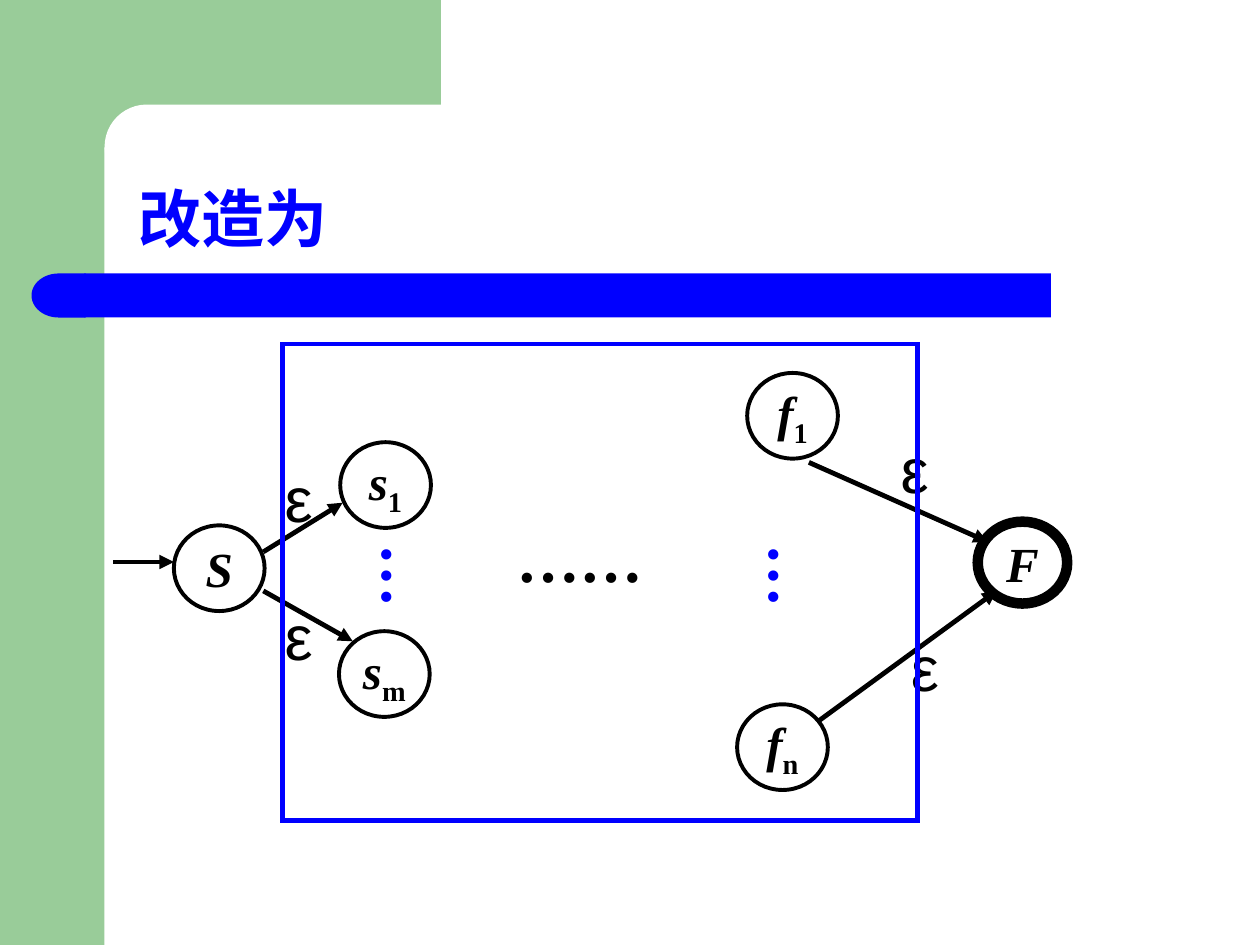
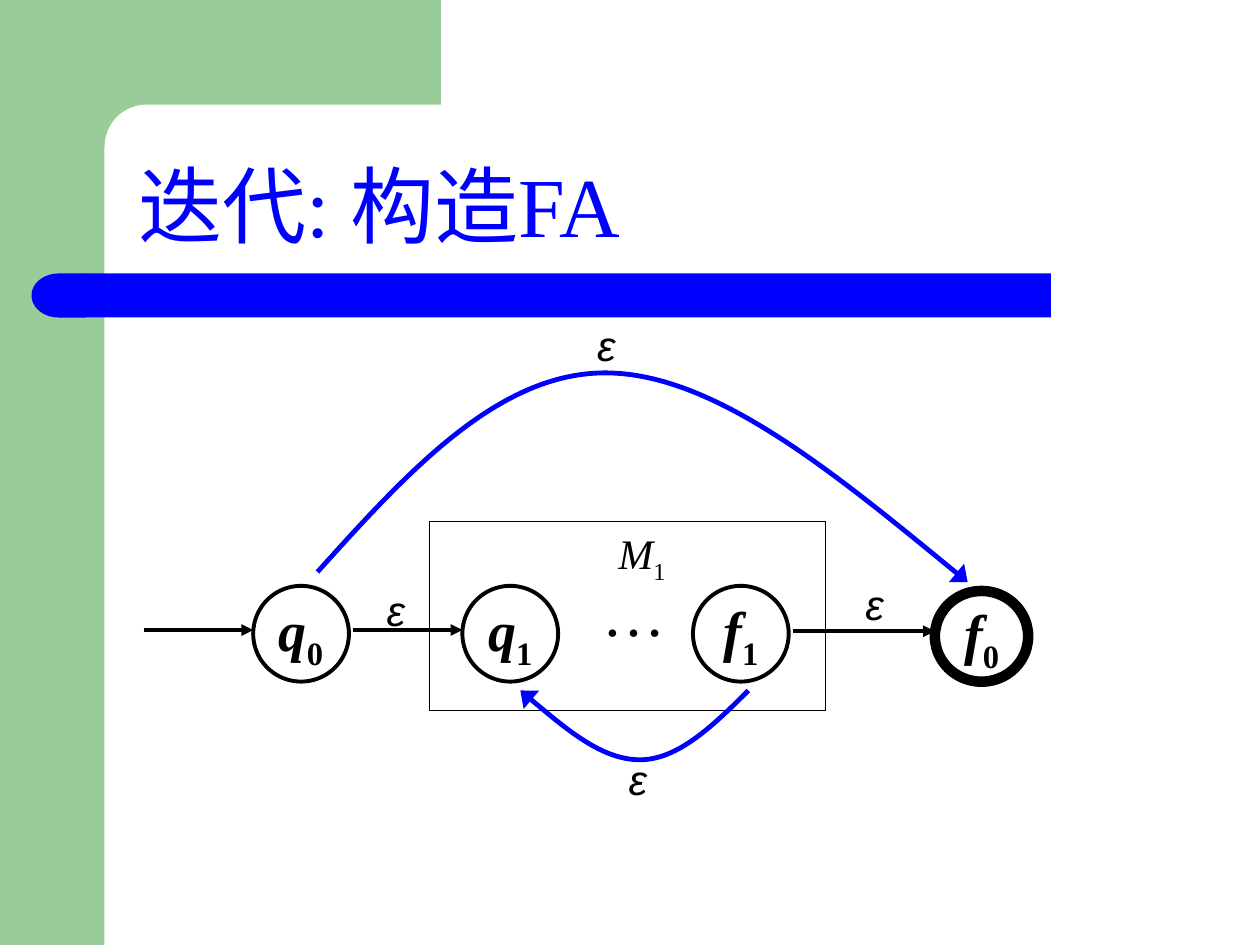
from collections import namedtuple

from lxml import etree
from pptx import Presentation
from pptx.dml.color import RGBColor
from pptx.enum.shapes import MSO_CONNECTOR, MSO_SHAPE
from pptx.enum.text import MSO_ANCHOR, MSO_AUTO_SIZE, PP_ALIGN
from pptx.oxml.ns import qn
from pptx.util import Inches, Pt

GREEN = RGBColor(0x99, 0xCC, 0x99)
BLUE = RGBColor(0x00, 0x00, 0xFF)
BLACK = RGBColor(0x00, 0x00, 0x00)
WHITE = RGBColor(0xFF, 0xFF, 0xFF)

SERIF = "Times New Roman"
SANS = "Arial"

RECT = MSO_SHAPE.RECTANGLE
ROUND_RECT = MSO_SHAPE.ROUNDED_RECTANGLE
DELAY = MSO_SHAPE.FLOWCHART_DELAY
OVAL = MSO_SHAPE.OVAL
STRAIGHT = MSO_CONNECTOR.STRAIGHT
TOP, MIDDLE, BOTTOM = MSO_ANCHOR.TOP, MSO_ANCHOR.MIDDLE, MSO_ANCHOR.BOTTOM
LEFT, CENTER = PP_ALIGN.LEFT, PP_ALIGN.CENTER
GROW = MSO_AUTO_SIZE.SHAPE_TO_FIT_TEXT

Box = namedtuple("Box", "left top width height")


def inside(box, x, y, width, height):
    """Box whose corner is given relative to another box."""
    return Box(box.left + x, box.top + y, width, height)


def emu(lengths):
    return [Inches(length) for length in lengths]


def write(shape, text, sub="", size=28, color=BLACK, font=SERIF, bold=False,
          italic=False, align=CENTER, anchor=MIDDLE, wrap=False, before=0,
          spacing=None, hanging=False, vertical=False, grow=False):
    """Write text, with an optional upright subscript, into a shape."""
    frame = shape.text_frame
    frame.word_wrap = wrap
    frame.vertical_anchor = anchor
    if grow:
        frame.auto_size = GROW
    if vertical:
        frame._txBody.bodyPr.set("vert", "eaVert")
        frame.margin_left = frame.margin_right = Inches(0.05)
        frame.margin_top = frame.margin_bottom = Inches(0.1)
    paragraph = frame.paragraphs[0]
    paragraph.alignment = align
    paragraph.space_before = Pt(before)
    if spacing:
        paragraph.line_spacing = spacing
    if hanging:
        properties = paragraph._p.get_or_add_pPr()
        properties.set("marL", str(Inches(0.38)))
        properties.set("indent", str(-Inches(0.38)))
    for part in filter(None, (text, sub)):
        run = paragraph.add_run()
        run.text = part
        run.font.size = Pt(size)
        run.font.name = font
        run.font.bold = bold
        run.font.italic = italic
        run.font.color.rgb = color
    if sub:
        run.font.italic = False
        run.font._element.set("baseline", "-25000")


def add_label(slide, box, text, **style):
    write(slide.shapes.add_textbox(*emu(box)), text, **style)


def add_solid(slide, kind, box, color):
    shape = slide.shapes.add_shape(kind, *emu(box))
    shape.shadow.inherit = False
    shape.fill.solid()
    shape.fill.fore_color.rgb = color
    shape.line.fill.background()
    return shape


def add_outline(slide, kind, box, color, weight):
    shape = slide.shapes.add_shape(kind, *emu(box))
    shape.shadow.inherit = False
    shape.fill.background()
    set_line(shape, color, weight)
    return shape


def set_line(shape, color, weight, head=None):
    """Line with sharp corners and, if a head width is given, an arrowhead."""
    shape.line.color.rgb = color
    shape.line.width = Pt(weight)
    line = shape.line._get_or_add_ln()
    etree.SubElement(line, qn("a:miter"), lim="800000")
    if head:
        etree.SubElement(line, qn("a:tailEnd"), type="triangle", w=head, len="med")


def add_state(slide, box, name, sub="", size=28, weight=2.25):
    state = add_outline(slide, OVAL, box, BLACK, weight)
    write(state, name, sub, size=size, bold=True, italic=True)


def add_arrow(slide, box, start, end, weight):
    points = [box.left + start[0], box.top + start[1],
              box.left + end[0], box.top + end[1]]
    arrow = slide.shapes.add_connector(STRAIGHT, *emu(points))
    set_line(arrow, BLACK, weight, head="med")
    etree.SubElement(arrow._element.spPr, qn("a:effectLst"))


def add_curve(slide, box, points):
    """Bezier arrow: a start point, then three points for each segment."""
    start, *rest = [emu((box.left + x, box.top + y)) for x, y in points]
    builder = slide.shapes.build_freeform(*start)
    builder.add_line_segments(rest, close=False)
    curve = builder.convert_to_shape()
    curve.shadow.inherit = False
    curve.fill.background()
    set_line(curve, BLUE, 2.75, head="lg")
    steps = curve._element.xpath(".//a:lnTo")
    for first in range(0, len(steps), 3):
        bezier = etree.Element(qn("a:cubicBezTo"))
        steps[first].addprevious(bezier)
        for step in steps[first:first + 3]:
            bezier.append(step[0])
            step.getparent().remove(step)


def add_backdrop(slide, page):
    add_solid(slide, RECT, inside(page, 0, 0, 0.83, page.height), GREEN)
    add_solid(slide, RECT, inside(page, 0.75, 0, 2.75, 1.17), GREEN)
    corner = add_solid(slide, ROUND_RECT, inside(page, 0.83, 0.83, 5.58, 0.67), WHITE)
    corner.adjustments[0] = 0.5
    add_solid(slide, RECT, inside(page, 0.67, 2.17, 7.67, 0.35), BLUE)
    band_end = add_solid(slide, DELAY, inside(page, 0.25, 2.17, 0.43, 0.35), BLUE)
    band_end.rotation = 180


def add_titled_slide(prs, page, title, **style):
    slide = prs.slides.add_slide(prs.slide_layouts[6])
    add_backdrop(slide, page)
    add_label(slide, inside(page, 1, 0.83, 8.75, 1.25), title, color=BLUE,
              align=LEFT, anchor=BOTTOM, wrap=True, spacing=0.9, **style)
    return slide


def draw_merged_automaton(slide, machine):
    """Single start S and single final F around a machine with many of both."""
    states = [(0.46, 0.78, "s", "1"), (0.45, 2.28, "s", "m"),
              (-0.86, 1.44, "S", ""),
              (3.69, 0.23, "f", "1"), (3.61, 2.86, "f", "n")]
    for x, y, name, sub in states:
        add_state(slide, inside(machine, x, y, 0.72, 0.68), name, sub)
    add_state(slide, inside(machine, 5.52, 1.41, 0.71, 0.65), "F", weight=6)

    arrows = [((-1.34, 1.73), (-0.86, 1.73)),
              ((-0.15, 1.65), (0.48, 1.26)), ((-0.15, 1.96), (0.56, 2.36)),
              ((4.18, 0.94), (5.6, 1.57)), ((4.26, 2.99), (5.67, 1.96))]
    for start, end in arrows:
        add_arrow(slide, machine, start, end, 2.75)

    spaced = dict(size=36, before=9, hanging=True)
    add_label(slide, inside(machine, 1.26, 1.1, 2.2, 1.18), "……", bold=True, **spaced)
    for x in (0.56, 3.63):
        add_label(slide, inside(machine, x, 1.49, 0.87, 0.79), "…", size=36,
                  color=BLUE, bold=True, before=9, vertical=True, wrap=True)
    for x, y in [(-0.08, 0.86), (4.81, 0.63), (4.89, 2.2), (-0.08, 1.96)]:
        add_label(slide, inside(machine, x, y, 0.39, 0.71), "ε", font=SANS, **spaced)
    add_outline(slide, RECT, machine, BLUE, 2.75)


def draw_iteration_automaton(slide, machine):
    """New states q0 and f0 around machine M1, with a loop and a bypass."""
    add_outline(slide, RECT, machine, BLACK, 0.75)
    for x, name, sub in [(-1.4, "q", "0"), (0.26, "q", "1"), (2.09, "f", "1")]:
        add_state(slide, inside(machine, x, 0.51, 0.76, 0.76), name, sub, size=32)
    add_state(slide, inside(machine, 4.01, 0.55, 0.74, 0.72), "f", "0",
              size=32, weight=6)

    for start, end, y in [(-2.27, -1.4, 0.86), (-0.61, 0.26, 0.86), (2.88, 4.01, 0.87)]:
        add_arrow(slide, machine, (start, y), (end, y), 2.25)

    caption = dict(size=24, italic=True, align=LEFT, anchor=TOP, wrap=True,
                   before=15, grow=True)
    add_label(slide, inside(machine, 1.4, 0, 0.7, 0.56), "M", sub="1", **caption)
    for x, y in [(3.36, 0.4), (1.48, 1.79), (-0.44, 0.45), (1.23, -1.65)]:
        add_label(slide, inside(machine, x, y, 0.44, 0.5), "ε", font=SANS, **caption)
    add_label(slide, inside(machine, 1.27, 0.48, 0.63, 0.47), "…",
              size=36, before=9, hanging=True)

    bypass = [(-0.89, 0.4), (-0.17, -0.4), (0.55, -1.19), (1.41, -1.18),
              (2.27, -1.17), (3.27, -0.34), (4.27, 0.48)]
    loop = [(2.53, 1.34), (2.25, 1.62), (1.97, 1.89), (1.67, 1.89),
            (1.37, 1.89), (1.05, 1.62), (0.72, 1.34)]
    for points in (bypass, loop):
        add_curve(slide, machine, points)


def main():
    prs = Presentation()
    page = Box(0, 0, 10, 7.5)
    prs.slide_width, prs.slide_height = emu(page[2:])
    merged = add_titled_slide(prs, page, "改造为", size=36, bold=True)
    draw_merged_automaton(merged, Box(2.24, 2.73, 5.04, 3.78))
    iteration = add_titled_slide(prs, page, "迭代: 构造FA", size=48)
    draw_iteration_automaton(iteration, Box(3.41, 4.14, 3.14, 1.5))
    prs.save("out.pptx")


if __name__ == "__main__":
    main()
